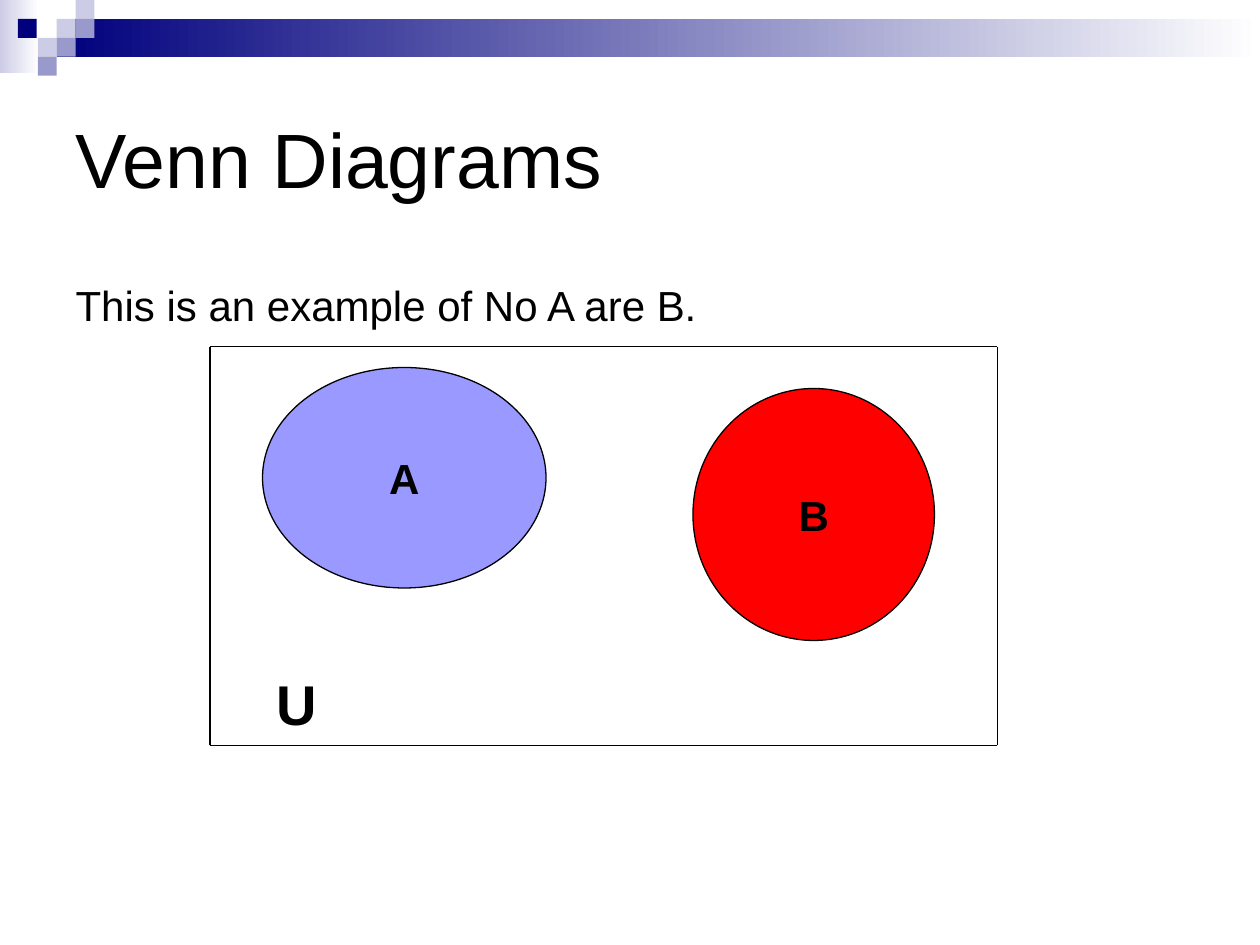
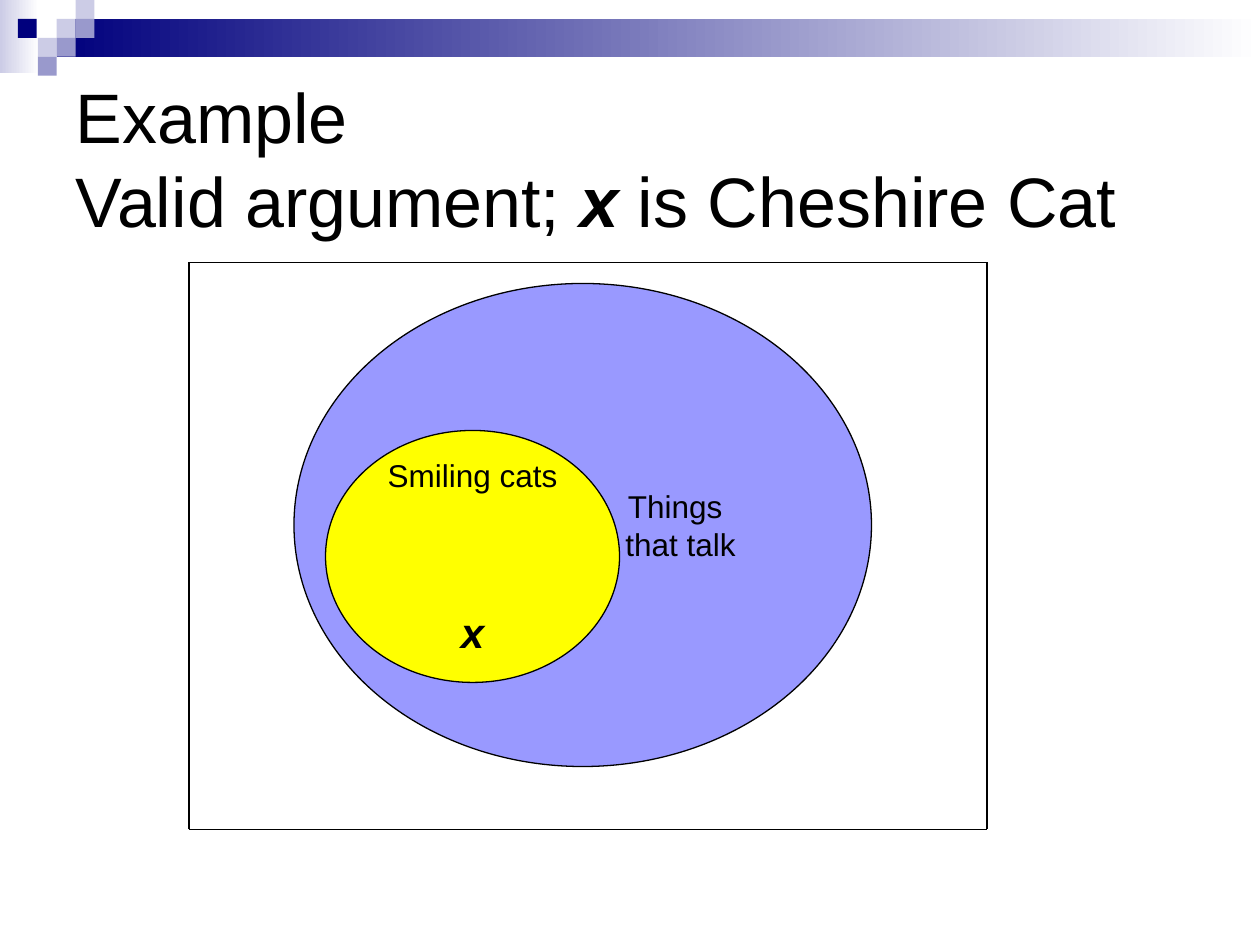
"""Build two Venn diagram slides with a shared gradient band and corner squares."""
from lxml import etree
from pptx import Presentation
from pptx.dml.color import RGBColor
from pptx.enum.shapes import MSO_CONNECTOR, MSO_SHAPE
from pptx.enum.text import MSO_ANCHOR, MSO_AUTO_SIZE, PP_ALIGN
from pptx.oxml.ns import qn
from pptx.util import Pt

PX = 7620
RECT, OVAL = MSO_SHAPE.RECTANGLE, MSO_SHAPE.OVAL
STRAIGHT = MSO_CONNECTOR.STRAIGHT
LEFT, CENTER = PP_ALIGN.LEFT, PP_ALIGN.CENTER
TOP, MIDDLE = MSO_ANCHOR.TOP, MSO_ANCHOR.MIDDLE
NO_FIT = MSO_AUTO_SIZE.NONE
COLORS = {"black": "000000", "white": "FFFFFF", "navy": "00007D", "pale": "CCCCE6",
          "mid": "9999CC", "violet": "9999FF", "red": "FF0000", "yellow": "FFFF00"}
RGB = {name: RGBColor.from_string(value) for name, value in COLORS.items()}


def add_shape(s, kind, box, fill):
    """Add a flat shape; two fill names give a left-to-right gradient."""
    sp = s.shapes.add_shape(kind, *[v * PX for v in box])
    sp.shadow.inherit = False
    if isinstance(fill, tuple):
        sp.fill.gradient()
        sp.fill.gradient_angle = 0
        for stop, name in zip(sp.fill.gradient_stops, fill):
            stop.color.rgb = RGB[name]
    else:
        sp.fill.solid()
        sp.fill.fore_color.rgb = RGB[fill]
    sp.line.fill.background()
    return sp


def write(p, runs, align):
    """Fill a paragraph with (text, font format) runs; a vertical tab breaks the line."""
    p.alignment = align
    for text, fmt in runs:
        for i, line in enumerate(text.split("\v")):
            if i:
                p.add_line_break()
            r = p.add_run()
            r.text = line
            r.font.color.rgb = RGB["black"]
            for key, value in {"name": "Arial", **fmt}.items():
                setattr(r.font, key, value)


prs = Presentation()
prs.slide_width, prs.slide_height = 1200 * PX, 900 * PX

SIZE_18 = {"size": Pt(18)}
BOLD_24 = {"size": Pt(24), "bold": True}
TITLE_40 = {"size": Pt(40)}
slides = [
    {"layout": 1,
     "title": [("Venn Diagrams", {"size": Pt(44)})],
     "body": [("This is an example of No A are B.", {"size": Pt(24)}, 0, 0),
              ("U", {"size": Pt(32), "bold": True}, 194, 191)],
     "ovals": [((250, 350, 270, 210), "violet", 12, [("A", BOLD_24, 0, 0)]),
               ((660, 370, 230, 240), "red", 12, [("B", BOLD_24, 0, 0)])],
     "frame": (200, 330, 950, 710)},
    {"layout": 5,
     "title": [("Example\vValid argument; ", TITLE_40),
               ("x", {**TITLE_40, "bold": True, "italic": True}),
               (" is Cheshire Cat", TITLE_40)],
     "body": [],
     "ovals": [((280, 270, 550, 460), "violet", 188,
                [("Things", SIZE_18, 0, 0), ("that talk", SIZE_18, 0, 10)]),
               ((310, 410, 280, 240), "yellow", 12,
                [("Smiling cats", SIZE_18, 0, 0), ("x", {**BOLD_24, "italic": True}, 64, 0)])],
     "frame": (180, 250, 940, 790)},
]

for data in slides:
    s = prs.slides.add_slide(prs.slide_layouts[data["layout"]])
    title = s.shapes.title
    title.left, title.top, title.width, title.height = [v * PX for v in (60, 60, 1080, 180)]
    tf = title.text_frame
    tf.auto_size, tf.vertical_anchor = NO_FIT, MIDDLE
    write(tf.paragraphs[0], data["title"], LEFT)

    texts = []
    if data["body"]:
        body = s.placeholders[1]
        body.left, body.top, body.width, body.height = [v * PX for v in (60, 260, 1080, 510)]
        body.text_frame.auto_size = NO_FIT
        texts.append((body.text_frame, data["body"], LEFT, TOP))
    for box, fill, margin, lines in data["ovals"]:
        oval = add_shape(s, OVAL, box, fill)
        oval.line.color.rgb = RGB["black"]
        oval.line.width = Pt(0.75)
        oval.text_frame.margin_left = margin * PX
        texts.append((oval.text_frame, lines, CENTER, MIDDLE))

    for tf, lines, align, anchor in texts:
        tf.word_wrap, tf.vertical_anchor = True, anchor
        for i, (text, fmt, before, indent) in enumerate(lines):
            p = tf.add_paragraph() if i else tf.paragraphs[0]
            pPr = p._p.get_or_add_pPr()
            pPr.set("marL", str(indent * PX))
            pPr.set("indent", "0")
            etree.SubElement(pPr, qn("a:buNone"))
            p.space_before = Pt(before)
            write(p, [(text, fmt)], align)

    x1, y1, x2, y2 = [v * PX for v in data["frame"]]
    corners = [(x1, y1), (x2, y1), (x2, y2), (x1, y2)]
    for start, end in zip(corners, corners[1:] + corners[:1]):
        line = s.shapes.add_connector(STRAIGHT, *start, *end)
        line.line.color.rgb = RGB["black"]
        line.line.width = Pt(0.75)
        etree.SubElement(line.element.spPr, qn("a:effectLst"))

decor = [((0, 0, 37, 70), ("pale", "white")), ((54, 18, 1146, 36), ("navy", "white"))]
squares = [(54, 18, "pale"), (72, 0, "pale"), (72, 18, "mid"), (36, 36, "pale"),
           (17, 18, "navy"), (54, 36, "mid"), (36, 54, "mid")]
decor += [((x, y, 18, 18), fill) for x, y, fill in squares]
master_tree = prs.slide_master.shapes.element
for i, (box, fill) in enumerate(decor):
    sp = add_shape(prs.slides[0], RECT, box, fill)
    sp.element.nvSpPr.cNvPr.id = 100 + i
    master_tree.insert(2 + i, sp.element)

prs.save("out.pptx")
